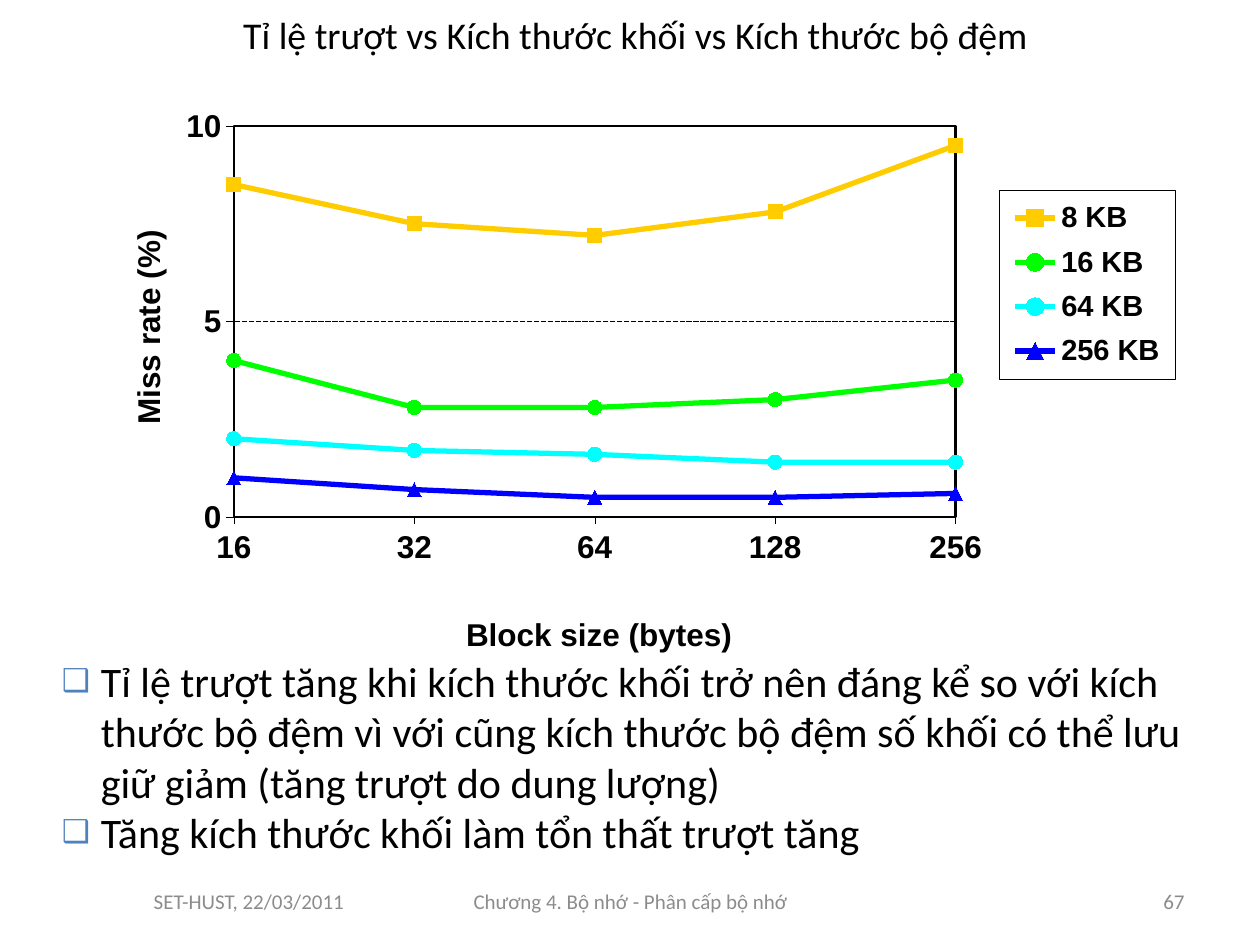
from lxml import etree
from pptx import Presentation
from pptx.chart.data import CategoryChartData
from pptx.dml.color import RGBColor
from pptx.enum import chart as ch, dml, text as te
from pptx.oxml import parse_xml
from pptx.oxml.ns import nsdecls, qn
from pptx.util import Inches, Pt

BLACK = RGBColor(0, 0, 0)
GRAY = RGBColor(0x8C, 0x8C, 0x8C)
GOLD = RGBColor(0xFF, 0xCC, 0x00)
GREEN = RGBColor(0x00, 0xFF, 0x00)
CYAN = RGBColor(0x00, 0xFF, 0xFF)
BLUE = RGBColor(0x00, 0x00, 0xFF)
LEFT, MID, RIGHT = te.PP_ALIGN.LEFT, te.PP_ALIGN.CENTER, te.PP_ALIGN.RIGHT


def write(frame, *lines, size=12, color=BLACK, face="Calibri", bold=False,
          align=LEFT, bullet=None):
    for i, line in enumerate(lines):
        para = frame.paragraphs[0] if i == 0 else frame.add_paragraph()
        para.alignment = align
        para.space_before = Pt(0)
        if bullet:
            props = para._p.get_or_add_pPr()
            props.set("marL", str(Inches(0.31)))
            props.set("indent", str(-Inches(0.31)))
            for part in ('<a:buClr %s><a:srgbClr val="4F81BD"/></a:buClr>',
                         '<a:buSzPct %s val="75000"/>',
                         '<a:buFont %s typeface="Arial"/>',
                         f'<a:buChar %s char="{bullet}"/>'):
                props.append(parse_xml(part % nsdecls("a")))
        run = para.add_run()
        run.text = line
        run.font.size, run.font.name, run.font.bold = Pt(size), face, bold
        run.font.color.rgb = color


def place(el, spot, **rule):
    """Give a chart part a manual layout, as fractions of the chart."""
    for old in el.findall(qn("c:layout")):
        el.remove(old)
    lay = etree.Element(qn("c:layout"))
    man = etree.SubElement(lay, qn("c:manualLayout"))
    for key, val in rule.items():
        etree.SubElement(man, qn("c:" + key), val=str(val))
    el.insert(spot, lay)


prs = Presentation()
prs.slide_width, prs.slide_height = Inches(10), Inches(7.5)
slide = prs.slides.add_slide(prs.slide_layouts[1])

# Title
title = slide.shapes.title
title.left, title.top = Inches(0.42), Inches(0.07)
title.width, title.height = Inches(9.25), Inches(0.41)
title.text_frame.auto_size = te.MSO_AUTO_SIZE.NONE
title.text_frame.vertical_anchor = te.MSO_ANCHOR.MIDDLE
write(title.text_frame, "Tỉ lệ trượt vs Kích thước khối vs Kích thước bộ đệm",
      size=21.6, align=MID)

# Miss rate chart
style = ch.XL_MARKER_STYLE
rates = [
    ("8 KB", (8.5, 7.5, 7.2, 7.8, 9.5), GOLD, style.SQUARE),
    ("16 KB", (4, 2.8, 2.8, 3, 3.5), GREEN, style.CIRCLE),
    ("64 KB", (2, 1.7, 1.6, 1.4, 1.4), CYAN, style.CIRCLE),
    ("256 KB", (1, 0.7, 0.5, 0.5, 0.6), BLUE, style.TRIANGLE),
]
data = CategoryChartData()
data.categories = ["16", "32", "64", "128", "256"]
for name, vals, _, _ in rates:
    data.add_series(name, vals)
chart = slide.shapes.add_chart(
    ch.XL_CHART_TYPE.LINE_MARKERS, Inches(0.75), Inches(0.67),
    Inches(8.64), Inches(4.64), data).chart
chart.has_title = False
chart.font.name, chart.font.size, chart.font.bold = "Arial", Pt(18), True
chart.font.color.rgb = BLACK
chart.plots[0].vary_by_categories = False
for line, (_, _, color, mark) in zip(chart.plots[0].series, rates):
    line.smooth = False
    line.format.line.color.rgb = color
    line.format.line.width = Pt(3)
    line.marker.style, line.marker.size = mark, 8
    line.marker.format.fill.solid()
    line.marker.format.fill.fore_color.rgb = color
    line.marker.format.line.fill.background()

# Axes
xaxis, yaxis = chart.category_axis, chart.value_axis
for axis, label, x, y in ((xaxis, "Block size (bytes)", 0.336, 0.895),
                          (yaxis, "Miss rate (%)", 0.025, 0.24)):
    axis.major_tick_mark = ch.XL_TICK_MARK.OUTSIDE
    axis.minor_tick_mark = ch.XL_TICK_MARK.NONE
    axis.format.line.color.rgb = BLACK
    axis.format.line.width = Pt(0.25)
    write(axis.axis_title.text_frame, label, size=18, face="Arial",
          bold=True, align=MID)
    place(axis.axis_title._element, 1, xMode="edge", yMode="edge", x=x, y=y)
yaxis.minimum_scale, yaxis.maximum_scale, yaxis.major_unit = 0, 10, 5
yaxis.tick_labels.number_format = "0"
yaxis.tick_labels.number_format_is_linked = False
grid = yaxis.major_gridlines.format.line
grid.color.rgb, grid.width = BLACK, Pt(1)
grid.dash_style = dml.MSO_LINE.SQUARE_DOT
yaxis._element.find(qn("c:majorUnit")).addprevious(
    parse_xml('<c:crossBetween %s val="midCat"/>' % nsdecls("c")))

# Plot frame and legend
frame = ('<c:spPr %s><a:noFill/><a:ln w="%d"><a:solidFill>'
         '<a:srgbClr val="000000"/></a:solidFill></a:ln></c:spPr>')
area = chart._chartSpace.chart.plotArea
place(area, 0, layoutTarget="inner", xMode="edge", yMode="edge",
      x=0.128, y=0.071, w=0.663, h=0.669)
area.append(parse_xml(frame % (nsdecls("c", "a"), Pt(1.5))))
chart.has_legend = True
legend = chart.legend
legend.position = ch.XL_LEGEND_POSITION.RIGHT
legend.include_in_layout = False
legend.font.size, legend.font.name, legend.font.bold = Pt(16.6), "Arial", True
legend.font.color.rgb = BLACK
place(legend._element, 1, xMode="edge", yMode="edge",
      x=0.831, y=0.181, w=0.162, h=0.323)
legend._element.find(qn("c:txPr")).addprevious(
    parse_xml(frame % (nsdecls("c", "a"), Pt(0.25))))

# Bulleted remarks
body = slide.placeholders[1]
body.left, body.top = Inches(0.42), Inches(5.17)
body.width, body.height = Inches(9.17), Inches(1.67)
tf = body.text_frame
tf.auto_size = te.MSO_AUTO_SIZE.NONE
tf.margin_left = tf.margin_right = Inches(0.07)
tf.margin_top = tf.margin_bottom = Inches(0.03)
write(tf,
      "Tỉ lệ trượt tăng khi kích thước khối trở nên đáng kể so với kích "
      "thước bộ đệm vì với cũng kích thước bộ đệm số khối có thể lưu "
      "giữ giảm (tăng trượt do dung lượng)",
      "Tăng kích thước khối làm tổn thất trượt tăng",
      size=24, bullet="❑")

# Footer
for words, x, w, align in (
        ("SET-HUST, 22/03/2011", 0.5, 2.33, RIGHT),
        ("Chương 4. Bộ nhớ - Phân cấp bộ nhớ", 3.42, 3.17, MID),
        ("67", 7.17, 2.33, RIGHT)):
    box = slide.shapes.add_textbox(Inches(x), Inches(6.95), Inches(w), Inches(0.4))
    box.text_frame.word_wrap = True
    box.text_frame.vertical_anchor = te.MSO_ANCHOR.MIDDLE
    write(box.text_frame, words, color=GRAY, align=align)

prs.save("out.pptx")
